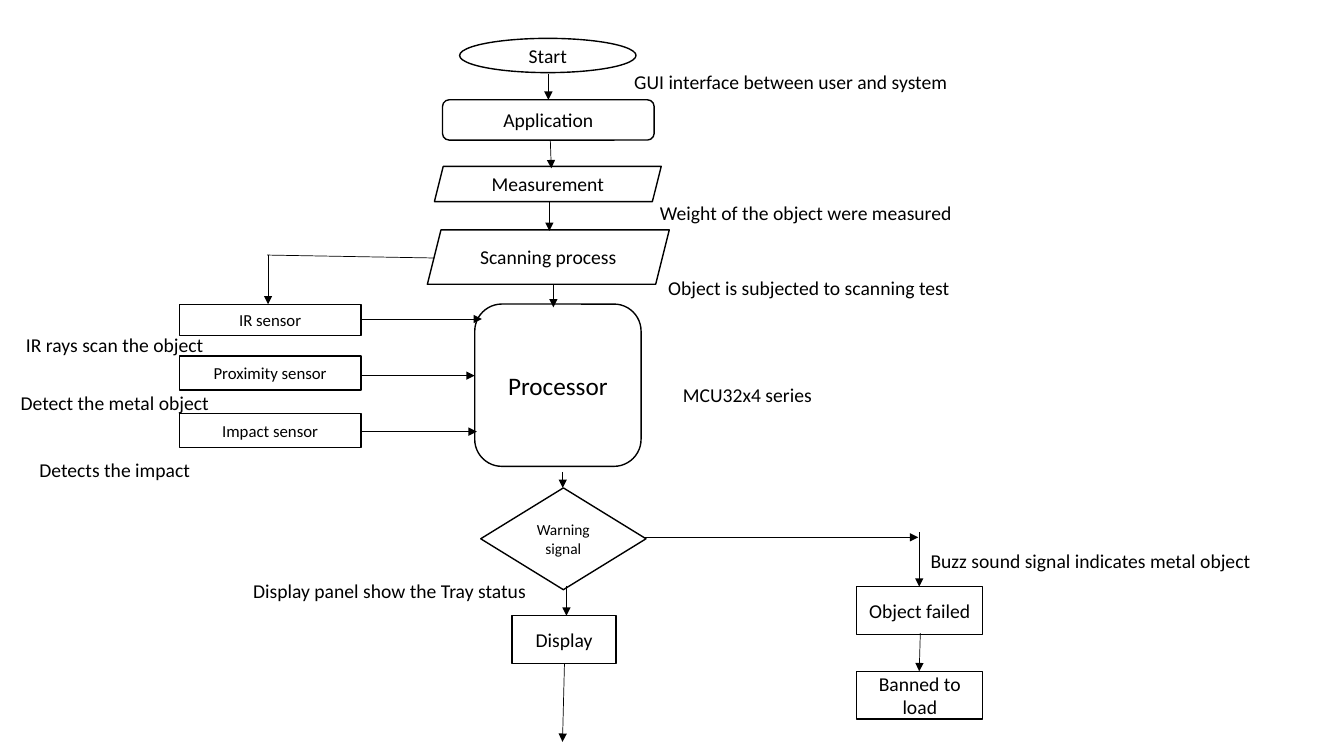
import pptx
import pptx.util
import pptx.dml.color
import pptx.enum.shapes
import pptx.enum.text
import lxml.etree

Pt = pptx.util.Pt
RGB = pptx.dml.color.RGBColor
MSO = pptx.enum.shapes.MSO_SHAPE
A = "{http://schemas.openxmlformats.org/drawingml/2006/main}"
COLORS = {"ink": "000000", "paper": "FFFFFF"}

prs = pptx.Presentation()
prs.slide_width, prs.slide_height = Pt(960), Pt(540)
s = prs.slides.add_slide(prs.slide_layouts[6])


def write(sp, text, size=14, anchor=pptx.enum.text.MSO_ANCHOR.MIDDLE):
    tf = sp.text_frame
    tf.word_wrap = True
    tf.vertical_anchor = anchor
    p = tf.paragraphs[0]
    p.alignment = pptx.enum.text.PP_ALIGN.CENTER
    r = p.add_run()
    r.text = text
    r.font.name = "Calibri"
    r.font.size = Pt(size)
    r.font.color.rgb = RGB.from_string(COLORS["ink"])


steps = [
    ("Start", MSO.OVAL, 328.3, 27.4, 126, 24.5, 14),
    ("Application", MSO.ROUNDED_RECTANGLE, 316.1, 71.3, 151.2, 28.8, 14),
    ("Measurement", MSO.PARALLELOGRAM, 310.3, 118.8, 162, 25.2, 14),
    ("Scanning process", MSO.PARALLELOGRAM, 305.3, 164.2, 172.8, 38.9, 14),
    ("Processor", MSO.ROUNDED_RECTANGLE, 339.1, 217.2, 118.8, 115.9, 18),
    ("IR sensor", MSO.RECTANGLE, 128.2, 217.4, 129.6, 22.3, 12),
    ("Proximity sensor", MSO.RECTANGLE, 128.2, 254.2, 129.6, 24.5, 12),
    ("Impact sensor", MSO.RECTANGLE, 128.2, 295.2, 129.6, 24.5, 12),
    ("Warning signal", MSO.FLOWCHART_DECISION, 343.4, 348.5, 118.1, 72.7, 11),
    ("Display", MSO.RECTANGLE, 365.8, 439.7, 74.2, 34.2, 14),
    ("Object failed", MSO.RECTANGLE, 612, 419, 90, 34.2, 14),
    ("Banned to load", MSO.RECTANGLE, 612, 479.5, 90, 34.2, 14),
]
for text, shape, x, y, w, h, size in steps:
    sp = s.shapes.add_shape(shape, Pt(x), Pt(y), Pt(w), Pt(h))
    sp.shadow.inherit = False
    sp.fill.solid()
    sp.fill.fore_color.rgb = RGB.from_string(COLORS["paper"])
    sp.line.color.rgb = RGB.from_string(COLORS["ink"])
    sp.line.width = Pt(1)
    write(sp, text, size=size)

captions = [
    ("GUI interface between user and system", 351.4, 46.1, 427),
    ("Weight of the object were measured", 362.2, 139.7, 427),
    ("Object is subjected to scanning test", 364.3, 193.9, 427),
    ("MCU32x4 series", 320.4, 269.7, 427),
    ("IR rays scan the object", 2, 234.4, 160),
    ("Detect the metal object", 2, 275.4, 160),
    ("Detects the impact", 2, 323.6, 160),
    ("Display panel show the Tray status", 113.8, 409.7, 329),
    ("Buzz sound signal indicates metal object", 600, 388.4, 358),
]
for text, x, y, w in captions:
    sp = s.shapes.add_textbox(Pt(x), Pt(y), Pt(w), Pt(24.2))
    write(sp, text, anchor=pptx.enum.text.MSO_ANCHOR.TOP)

links = [
    (391.7, 52.6, 391.7, 71.3, True),
    (393.1, 100.1, 393.8, 120.2, True),
    (392.4, 144, 392.4, 164.9, True),
    (395.3, 203.8, 395.3, 219.6, True),
    (310.3, 184.3, 190.8, 182.2, False),
    (191.5, 182.2, 191.5, 217.4, True),
    (257.8, 227.9, 344.2, 227.9, True),
    (257.8, 268.3, 339.1, 268.3, True),
    (257.8, 308.3, 340.6, 308.3, True),
    (402, 337, 402, 348.5, True),
    (404.6, 418.3, 404.6, 439.9, True),
    (403.2, 473.8, 401.8, 529.9, True),
    (460.1, 383.8, 655.9, 383.8, True),
    (656.6, 380.2, 656.6, 419, True),
    (657.4, 452.2, 656.6, 479.5, True),
]
for x1, y1, x2, y2, arrow in links:
    c = s.shapes.add_connector(pptx.enum.shapes.MSO_CONNECTOR.STRAIGHT,
                               Pt(x1), Pt(y1), Pt(x2), Pt(y2))
    c.line.color.rgb = RGB.from_string(COLORS["ink"])
    c.line.width = Pt(0.5)
    if arrow:
        lxml.etree.SubElement(c.line._get_or_add_ln(), A + "tailEnd", type="triangle")
    lxml.etree.SubElement(c._element.spPr, A + "effectLst")

prs.save("out.pptx")
